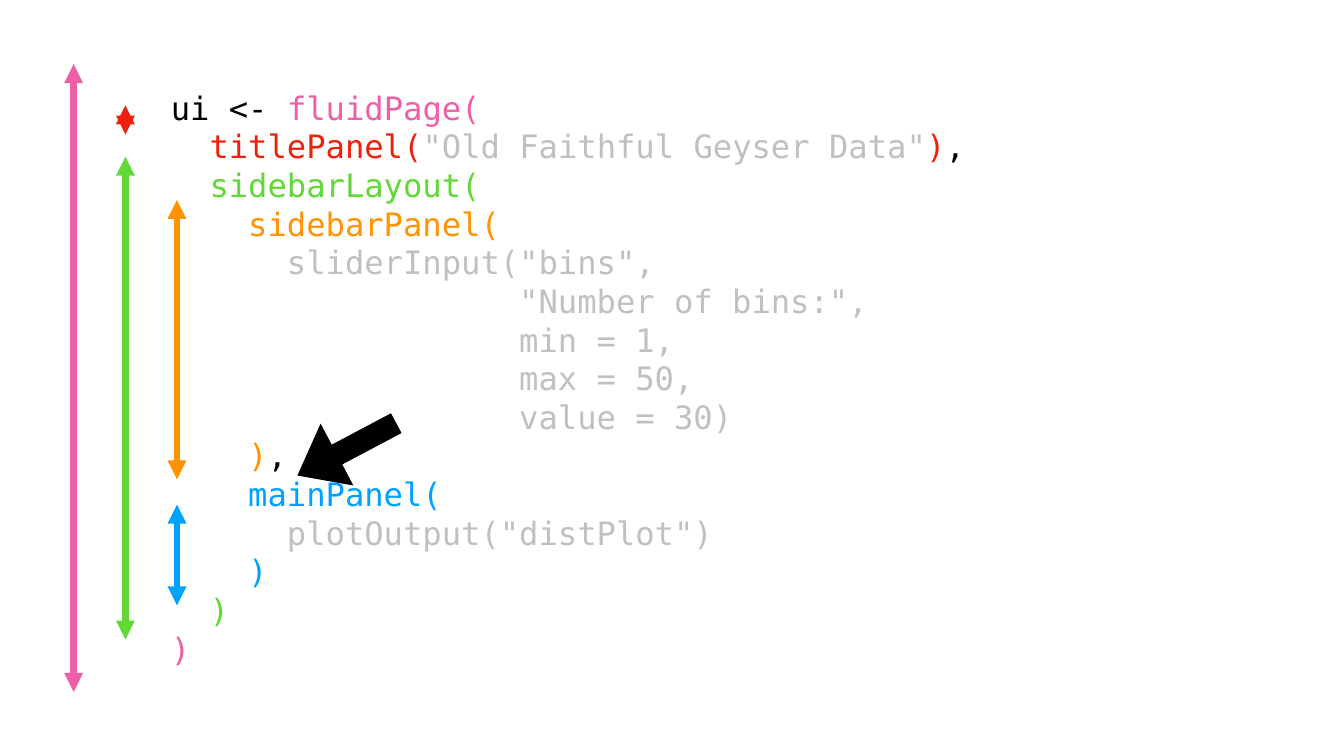
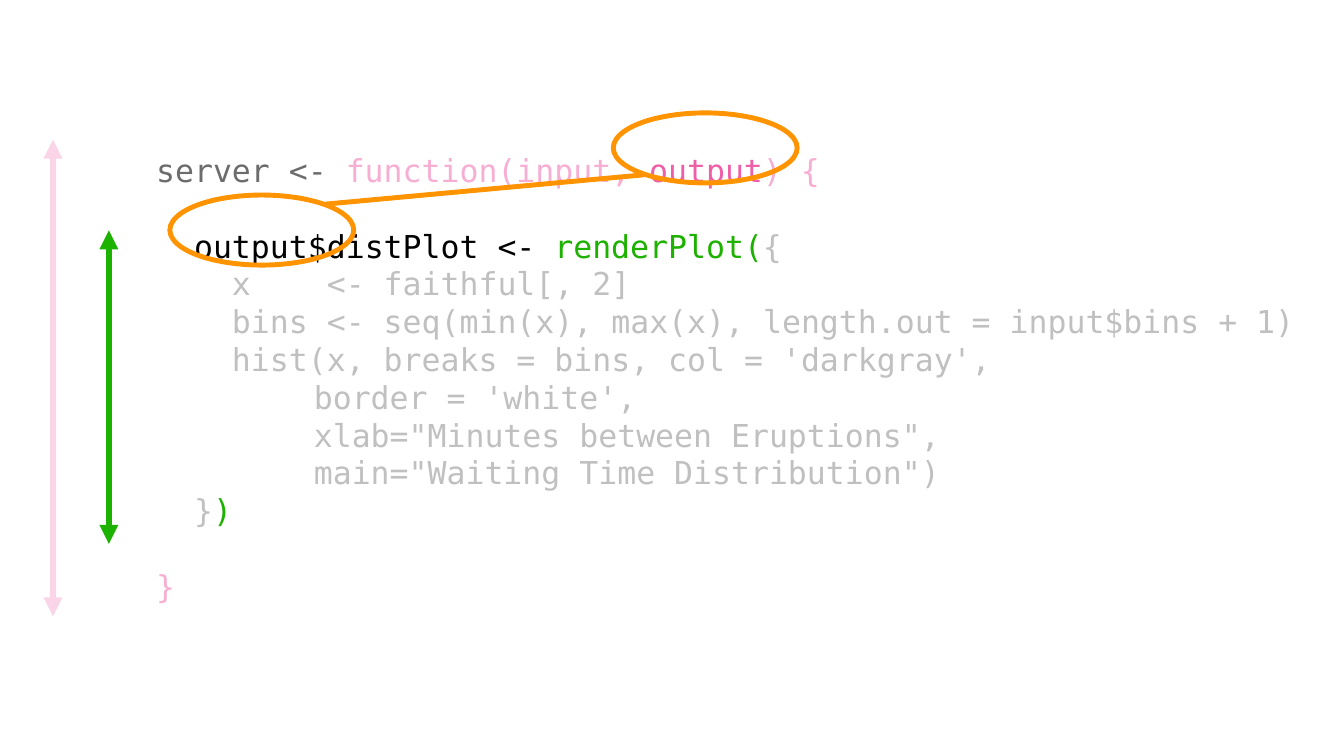
from pptx import Presentation
from pptx.dml.color import RGBColor
from pptx.enum.shapes import MSO_CONNECTOR, MSO_SHAPE
from pptx.enum.text import MSO_ANCHOR
from pptx.oxml.ns import qn
from pptx.util import Cm, Pt
from lxml.etree import SubElement

FONT = "DejaVu Sans Mono"
LEAD = 1.2
HUES = {
    "black": "000000",
    "slate": "6C6C6C",
    "gray": "C0C0C0",
    "pink": "EF5FA8",
    "red": "EE220C",
    "lime": "61D836",
    "green": "1DB100",
    "orange": "FF9300",
    "blue": "00A2FF",
}

UI_CODE = [
    [("ui <- ", "black"), ("fluidPage(", "pink")],
    [("  titlePanel(", "red"), ('"Old Faithful Geyser Data"', "gray"),
     (")", "red"), (",", "black")],
    [("  sidebarLayout(", "lime")],
    [("    sidebarPanel(", "orange")],
    [('      sliderInput("bins",', "gray")],
    [('                  "Number of bins:",', "gray")],
    [("                  min = 1,", "gray")],
    [("                  max = 50,", "gray")],
    [("                  value = 30)", "gray")],
    [("    )", "orange"), (",", "black")],
    [("    mainPanel(", "blue")],
    [('      plotOutput("distPlot")', "gray")],
    [("    )", "blue")],
    [("  )", "lime")],
    [(")", "pink")],
]

SERVER_CODE = [
    [("server <- ", "slate"), ("function(input, ", "pink", 50),
     ("output", "pink"), (") {", "pink", 50)],
    [("  output$distPlot <- ", "black"), ("renderPlot(", "green"),
     ("{", "gray")],
    [("    x    <- faithful[, 2]", "gray")],
    [("    bins <- seq(min(x), max(x), length.out = input$bins + 1)", "gray")],
    [("    hist(x, breaks = bins, col = 'darkgray',", "gray")],
    [("   border = 'white',", "gray")],
    [('   xlab="Minutes between Eruptions",', "gray")],
    [('   main="Waiting Time Distribution")', "gray")],
    [("  }", "gray"), (")", "green")],
    [("}", "pink", 50)],
]


def paint(fill, hue):
    """Give a fill one solid colour from the palette."""
    fill.solid()
    fill.fore_color.rgb = RGBColor.from_string(HUES[hue])


def fade(node, alpha):
    """Set the opacity, in percent, of the colours below a node."""
    if alpha < 100:
        for color in node.iter(qn("a:srgbClr")):
            SubElement(color, qn("a:alpha"), val=str(alpha * 1000))


def add_run(para, size, text, hue, alpha=100):
    """Add one coloured piece of code to a paragraph."""
    run = para.add_run()
    run.text = text
    run.font.name = FONT
    run.font.size = Pt(size)
    paint(run.font.fill, hue)
    fade(run.font.fill._xPr, alpha)


def add_code(slide, box, size, lines, gaps=(), tabbed=()):
    """Add a listing; gaps follow an open line, tabbed lines are indented."""
    frame = slide.shapes.add_textbox(*map(Cm, box)).text_frame
    frame.word_wrap = True
    frame.vertical_anchor = MSO_ANCHOR.MIDDLE
    frame.margin_left = frame.margin_right = Cm(0.15)
    frame.margin_top = frame.margin_bottom = Cm(0.15)
    for row, line in enumerate(lines):
        para = frame.add_paragraph() if row else frame.paragraphs[0]
        para.line_spacing = Pt(size * LEAD)
        if row in gaps:
            para.space_before = Pt(size * LEAD)
        if row in tabbed:
            props = para._p.get_or_add_pPr()
            props.set("marL", "0")
            props.set("indent", str(Cm(5.08)))
        for piece in line:
            add_run(para, size, *piece)


def add_line(shapes, start, end, hue, width):
    """Add a straight line without a shadow."""
    line = shapes.add_connector(
        MSO_CONNECTOR.STRAIGHT, *map(Cm, (*start, *end)))
    paint(line.line.fill, hue)
    line.line.width = Pt(width)
    SubElement(line._element.spPr, qn("a:effectLst"))
    return line


def add_span(slide, x, low, high, hue, alpha=100):
    """Add an upright double arrow that marks the reach of a block."""
    line = add_line(slide.shapes, (x, low), (x, high), hue, 9)
    props = line.line._get_or_add_ln()
    fade(props, alpha)
    for tip in ("a:headEnd", "a:tailEnd"):
        SubElement(props, qn(tip), type="triangle")


def add_ring(shapes, x, y):
    """Add an orange ring around a word."""
    ring = shapes.add_shape(
        MSO_SHAPE.OVAL, Cm(x), Cm(y), Cm(9.27), Cm(3.53))
    ring.shadow.inherit = False
    ring.fill.background()
    paint(ring.line.fill, "orange")
    ring.line.width = Pt(7)


def add_arrow(slide, box, turn):
    """Add a turned black block arrow."""
    arrow = slide.shapes.add_shape(MSO_SHAPE.RIGHT_ARROW, *map(Cm, box))
    arrow.shadow.inherit = False
    arrow.adjustments[0] = 0.32
    arrow.adjustments[1] = 0.64
    arrow.rotation = turn
    paint(arrow.fill, "black")
    arrow.line.fill.background()


def add_ui(slide):
    """Build the slide on the nested page layout."""
    add_code(slide, (8.46, 2.57, 56.03, 32.94), 46, UI_CODE)
    for span in (
        (3.71, 34.87, 3.23, "pink"),
        (6.32, 32.23, 7.9, "lime"),
        (8.92, 30.51, 25.43, "blue"),
        (8.92, 24.16, 10.08, "orange"),
        (6.32, 6.78, 5.31, "red"),
    ):
        add_span(slide, *span)
    add_arrow(slide, (14.66, 20.88, 5.64, 3.53), 152.1)


def add_server(slide):
    """Build the slide on the server function and its output."""
    add_code(slide, (7.72, 6.27, 58.06, 25.55), 45, SERVER_CODE,
             gaps=(1, 9), tabbed=(5, 6, 7))
    add_span(slide, 2.67, 31.06, 7.04, "pink", 25)
    add_span(slide, 5.49, 27.41, 11.61, "green")
    link = slide.shapes.add_group_shape().shapes
    add_line(link, (16.38, 10.29), (32.46, 8.81), "orange", 7)
    add_ring(link, 30.91, 5.69)
    add_ring(link, 8.56, 9.83)


def main():
    """Build and save the deck."""
    deck = Presentation()
    deck.slide_width = Cm(67.74)
    deck.slide_height = Cm(38.1)
    for build in (add_ui, add_server):
        build(deck.slides.add_slide(deck.slide_layouts[6]))
    deck.save("out.pptx")


if __name__ == "__main__":
    main()
